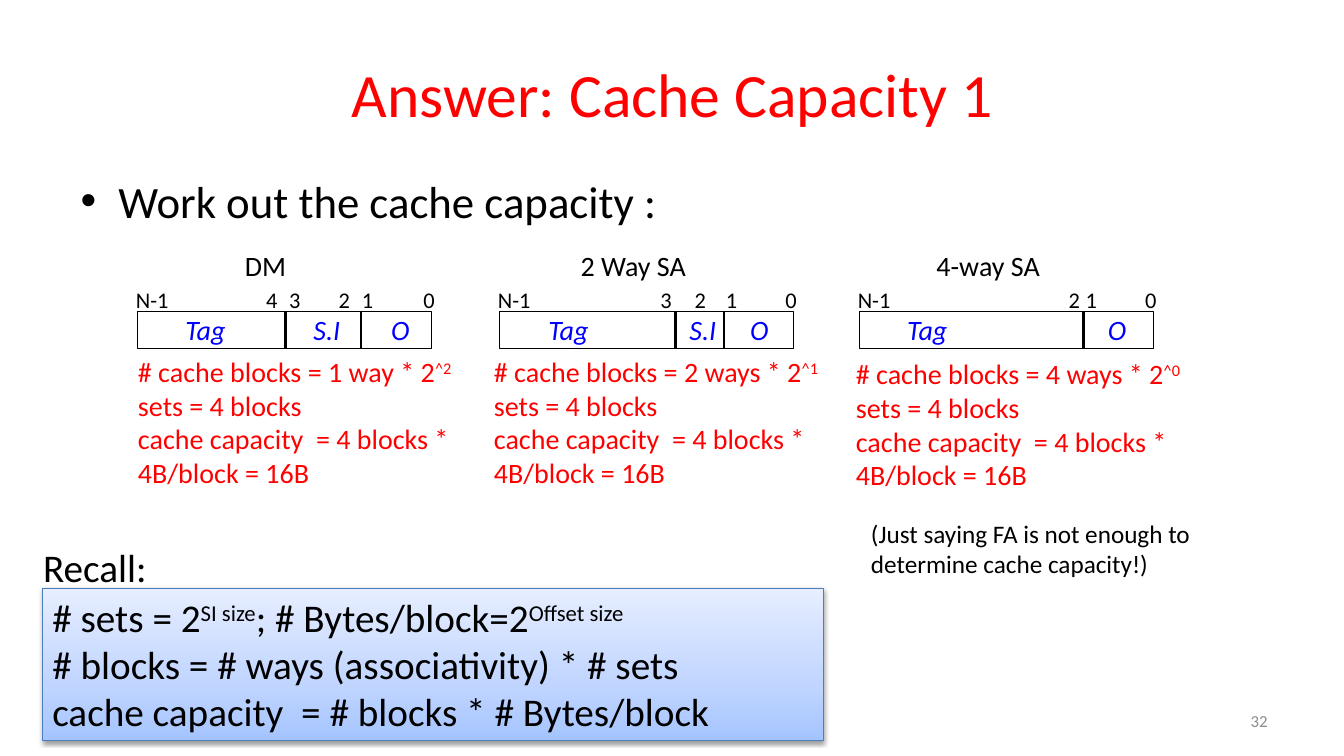
"""Build the slide that answers the cache capacity exercise."""
import copy

import lxml.etree
import pptx
import pptx.dml.color
import pptx.enum.shapes
import pptx.enum.text
import pptx.oxml
import pptx.oxml.ns
import pptx.util

RED, BLUE, BLACK, GREY = "FF0000", "0000FF", "000000", "8C8C8C"
paint = pptx.dml.color.RGBColor.from_string
qn = pptx.oxml.ns.qn

deck = pptx.Presentation()
deck.slide_width = pptx.util.Inches(13.33)
deck.slide_height = pptx.util.Inches(7.5)
column = deck.slide_width / 133.3
row = deck.slide_height / 75
page = deck.slides.add_slide(deck.slide_layouts[1])


def write(frame, lines, size, ink, italic=None, level=0):
    """Fill a frame with lines of spans, every second span raised."""
    for number, spans in enumerate(lines):
        para = frame.add_paragraph() if number else frame.paragraphs[0]
        para.level = level
        for position, text in enumerate(spans):
            span = para.add_run()
            span.text = text
            span.font.name = "Calibri"
            span.font.size = pptx.util.Pt(size)
            span.font.italic = italic
            span.font.color.rgb = paint(ink)
            if position % 2:
                span.font._element.set("baseline", "30000")


def add_label(left, top, width, height, lines, size, ink, wrap=False, **style):
    """Add a text box placed in grid columns and rows."""
    box = page.shapes.add_textbox(
        round(left * column), round(top * row), round(width * column), round(height * row))
    box.text_frame.word_wrap = wrap
    write(box.text_frame, lines, size, ink, **style)
    return box


title, body = page.shapes.title, page.placeholders[1]
for holder, (left, top, width, height), text, size, ink in [
    (title, (6.7, 3, 120, 12.5), "Answer: Cache Capacity 1", 44, RED),
    (body, (7, 16.7, 120, 23.4), "Work out the cache capacity :", 32, BLACK),
]:
    holder.left, holder.top = round(left * column), round(top * row)
    holder.width, holder.height = round(width * column), round(height * row)
    write(holder.text_frame, [[text]], size, ink)

number = add_label(95.6, 69.5, 31.1, 4, [["32"]], 12, GREY, wrap=True)
number.text_frame.vertical_anchor = pptx.enum.text.MSO_ANCHOR.MIDDLE
number.text_frame.paragraphs[0].alignment = pptx.enum.text.PP_ALIGN.RIGHT

panels = [
    dict(left=13.6, name=("DM", 23.3, 9.2), dividers=[28.3, 35.8],
         bits=[("4", 25.4), ("3", 27.7), ("2", 32.6), ("1", 34.9)],
         fields=[("Tag", 17.4, 6), ("S.I", 30.1, 4.7), ("O", 37.8, 3.9)],
         ways="1 way", power="^2 ", working=(7.7, 34.7)),
    dict(left=49.5, name=("2 Way SA", 56.6, 12.6), dividers=[67, 71.8],
         bits=[("3", 64.5), ("2", 67.9), ("1", 71)],
         fields=[("Tag", 53.4, 6), ("S.I", 67.4, 4.7), ("O", 73.4, 3.9)],
         ways="2 ways", power="^1 ", working=(43, 34.7)),
    dict(left=85.2, name=("4-way SA", 91.9, 12.4), dividers=[107.5],
         bits=[("2", 105), ("1", 106.7)],
         fields=[("Tag", 89, 6), ("O", 108.9, 3.9)],
         ways="4 ways", power="^0 ", working=(78.9, 34.9)),
]
for panel in panels:
    left = panel["left"]
    address = page.shapes.add_shape(
        pptx.enum.shapes.MSO_SHAPE.RECTANGLE,
        round(left * column), round(30.9 * row), round(29.2 * column), round(3.7 * row))
    address.shadow.inherit = False
    address.fill.background()
    address.line.color.rgb = paint(BLACK)
    address.line.width = pptx.util.Pt(0.75)

    for place in panel["dividers"]:
        divider = page.shapes.add_connector(
            pptx.enum.shapes.MSO_CONNECTOR.STRAIGHT,
            round(place * column), round(30.9 * row), round(place * column), round(34.6 * row))
        divider.line.color.rgb = paint(BLACK)
        divider.line.width = pptx.util.Pt(2)
        lxml.etree.SubElement(divider._element.spPr, qn("a:effectLst"))

    add_label(left - 1.1, 27.9, 5.3, 3.7, [["N-1"]], 16, BLACK)
    for bit, place in panel["bits"] + [("0", left + 27.4)]:
        add_label(place, 27.9, 3.2, 3.7, [[bit]], 16, BLACK)
    for field, place, width in panel["fields"]:
        add_label(place, 30.5, width, 4.4, [[field]], 20, BLUE, italic=True)

    name, place, width = panel["name"]
    add_label(place, 24.2, width, 4.4, [[name]], 20, BLACK)
    add_label(*panel["working"], 40.8, 14.5, [
        [f"# cache blocks = {panel['ways']} * 2", panel["power"], "sets = 4 blocks"],
        ["cache capacity  = 4 blocks * 4B/block = 16B"],
    ], 20, RED, wrap=True, level=1)

recall = page.shapes.add_shape(
    pptx.enum.shapes.MSO_SHAPE.RECTANGLE,
    round(4.2 * column), round(58.4 * row), round(77.5 * column), round(15.1 * row))
recall.line.color.rgb = paint("4B7EBC")
recall.line.width = pptx.util.Pt(0.75)
recall.fill.gradient()
recall.fill.gradient_angle = 90
stop_list = recall._element.spPr.find(".//" + qn("a:gsLst"))
stop_list.insert(1, copy.deepcopy(stop_list[0]))
for stop, share, ink in zip(
        recall.fill.gradient_stops, [0, 0.35, 1], ["A4C4FF", "BFD4FF", "E6EEFF"]):
    stop.position = share
    stop.color.rgb = paint(ink)
recall.shadow.inherit = False
recall._element.spPr.find(qn("a:effectLst")).append(pptx.oxml.parse_xml(
    '<a:outerShdw xmlns:a="http://schemas.openxmlformats.org/drawingml/2006/main"'
    ' blurRad="40000" dist="20000" dir="5400000" rotWithShape="0">'
    '<a:srgbClr val="000000"><a:alpha val="38000"/></a:srgbClr></a:outerShdw>'))
recall.text_frame.word_wrap = True
recall.text_frame.vertical_anchor = pptx.enum.text.MSO_ANCHOR.TOP
write(recall.text_frame, [
    ["# sets = 2", "SI size", "; # Bytes/block=2", "Offset size"],
    ["# blocks = # ways (associativity) * # sets"],
    ["cache capacity  = # blocks * # Bytes/block"],
], 28, BLACK)
for para in recall.text_frame.paragraphs:
    para.alignment = pptx.enum.text.PP_ALIGN.LEFT

add_label(3.3, 53.4, 12.4, 5.7, [["Recall:"]], 28, BLACK)
add_label(85.4, 50.9, 35.9, 7.1,
          [["(Just saying FA is not enough to determine cache capacity!)"]],
          18, BLACK, wrap=True)

deck.save("out.pptx")
